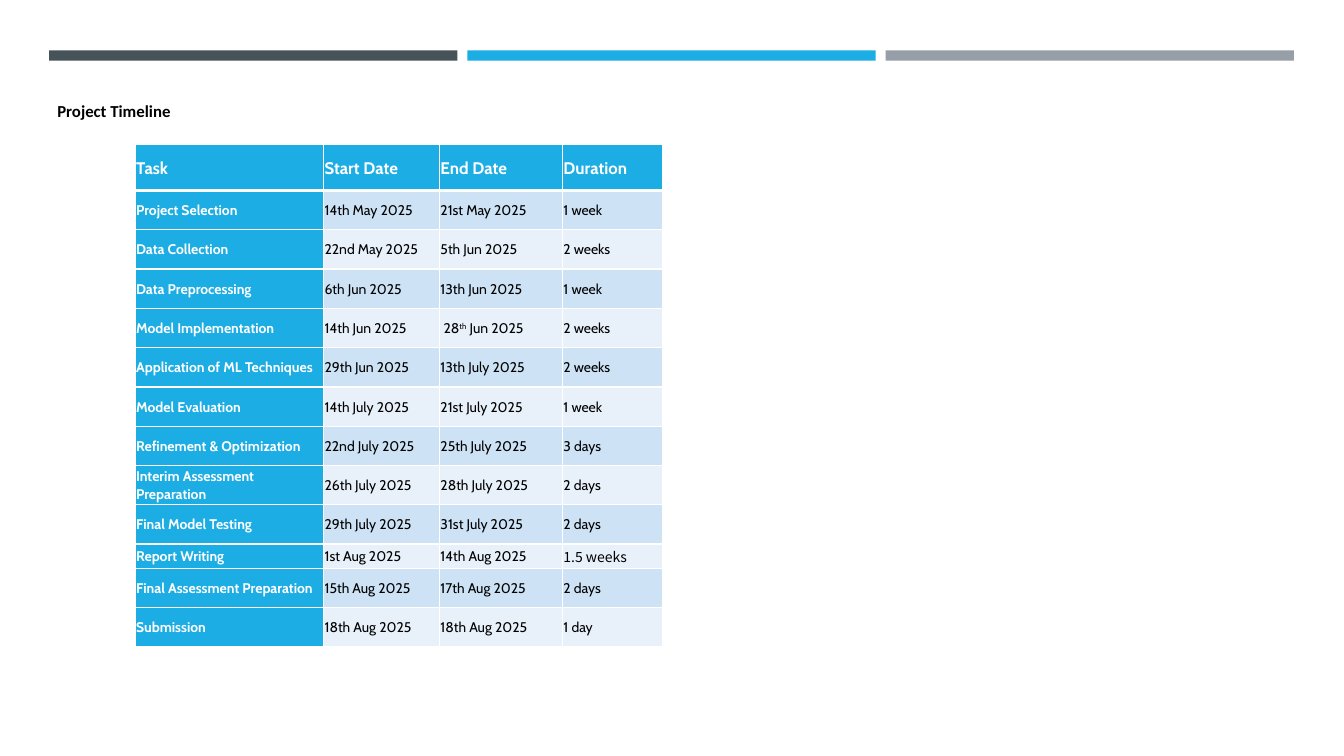
from pptx import Presentation
from pptx.dml.color import RGBColor
from pptx.enum.shapes import MSO_SHAPE as Shape
from pptx.enum.text import MSO_ANCHOR as Anchor, MSO_AUTO_SIZE as Fit, PP_ALIGN as Align
from pptx.oxml.ns import qn
from pptx.util import Cm, Pt
from lxml.etree import SubElement as Sub

SLATE = RGBColor(0x46, 0x53, 0x59)
BLUE = RGBColor(0x1C, 0xAD, 0xE4)
GREY = RGBColor(0x96, 0x9F, 0xA7)
DARK = RGBColor(0xCD, 0xE3, 0xF5)
LIGHT = RGBColor(0xE8, 0xF1, 0xFA)
WHITE = RGBColor(0xFF, 0xFF, 0xFF)
BLACK = RGBColor(0, 0, 0)

TITLE = "Project Timeline"
HEAD = ("Task", "Start Date", "End Date", "Duration")
TASKS = [
    ("Project Selection", "14th May 2025", "21st May 2025", "1 week"),
    ("Data Collection", "22nd May 2025", "5th Jun 2025", "2 weeks"),
    ("Data Preprocessing", "6th Jun 2025", "13th Jun 2025", "1 week"),
    ("Model Implementation", "14th Jun 2025", (" 28", "th", " Jun 2025"), "2 weeks"),
    ("Application of ML Techniques", "29th Jun 2025", "13th July 2025", "2 weeks"),
    ("Model Evaluation", "14th July 2025", "21st July 2025", "1 week"),
    ("Refinement & Optimization", "22nd July 2025", "25th July 2025", "3 days"),
    ("Interim Assessment Preparation", "26th July 2025", "28th July 2025", "2 days"),
    ("Final Model Testing", "29th July 2025", "31st July 2025", "2 days"),
    ("Report Writing", "1st Aug 2025", "14th Aug 2025", "1.5 weeks"),
    ("Final Assessment Preparation", "15th Aug 2025", "17th Aug 2025", "2 days"),
    ("Submission", "18th Aug 2025", "18th Aug 2025", "1 day"),
]
FONTS = {"1.5 weeks": "Noto Sans CJK SC"}
BARS = (SLATE, BLUE, GREY)
WIDTHS = (4.75, 2.92, 3.1, 2.54)
TOP_ROW, ROW, LOW_ROW = 1.16, 0.99, 0.61


def add_run(para, text, font, size, color, bold):
    run = para.add_run()
    run.text = text
    run.font.name = font
    run.font.size = Pt(size)
    run.font.color.rgb = color
    run.font.bold = bold
    return run


def add_edges(cell, row):
    props = cell._tc.get_or_add_tcPr()
    for side in "LRTB":
        thick = (row, side) in ((0, "B"), (1, "T"))
        line = Sub(props, qn("a:ln" + side), w=str(Pt(3 if thick else 1)))
        fill = Sub(line, qn("a:solidFill"))
        Sub(fill, qn("a:srgbClr"), val=str(WHITE))


def fill_cell(cell, row, col, text):
    add_edges(cell, row)
    key = row == 0 or col == 0
    cell.fill.solid()
    cell.fill.fore_color.rgb = BLUE if key else DARK if row % 2 else LIGHT
    cell.vertical_anchor = Anchor.MIDDLE
    cell.margin_left = cell.margin_right = Cm(0.03)
    cell.margin_top = cell.margin_bottom = Cm(0.03)
    para = cell.text_frame.paragraphs[0]
    para.line_spacing = 1.07
    para.space_after = Pt(8)
    parts = (text,) if isinstance(text, str) else text
    for part in parts:
        run = add_run(para, part, FONTS.get(part, "Cabin"), 10 if row else 12,
                      WHITE if key else BLACK, key)
        if part == "th":
            run._r.get_or_add_rPr().set("baseline", "30000")


def add_bars(slide):
    for i, color in enumerate(BARS):
        bar = slide.shapes.add_shape(Shape.RECTANGLE, Cm(1.24 + 10.54 * i), Cm(1.27),
                                     Cm(10.29), Cm(0.26))
        bar.shadow.inherit = False
        bar.fill.solid()
        bar.fill.fore_color.rgb = color
        bar.line.fill.background()


def add_plan(slide):
    rows = [HEAD] + TASKS
    highs = [TOP_ROW] + [LOW_ROW if t[0] == "Report Writing" else ROW for t in TASKS]
    table = slide.shapes.add_table(len(rows), len(HEAD), Cm(3.4), Cm(3.64),
                                   Cm(sum(WIDTHS)), Cm(sum(highs))).table
    for col, wide in zip(table.columns, WIDTHS):
        col.width = Cm(wide)
    for r, (texts, high) in enumerate(zip(rows, highs)):
        table.rows[r].height = Cm(high)
        for c, text in enumerate(texts):
            fill_cell(table.cell(r, c), r, c, text)


def set_title(slide):
    title = slide.shapes.title
    title.left, title.top, title.width, title.height = Cm(1.19), Cm(2.16), Cm(32.67), Cm(1.27)
    frame = title.text_frame
    frame.word_wrap = False
    frame.auto_size = Fit.NONE
    frame.vertical_anchor = Anchor.MIDDLE
    para = frame.paragraphs[0]
    para.alignment = Align.LEFT
    add_run(para, TITLE, "Calibri", 12, BLACK, True)


def main():
    deck = Presentation()
    deck.slide_width, deck.slide_height = Cm(33.87), Cm(19.05)
    slide = deck.slides.add_slide(deck.slide_layouts[5])
    add_bars(slide)
    add_plan(slide)
    set_title(slide)
    deck.save("out.pptx")


if __name__ == "__main__":
    main()
